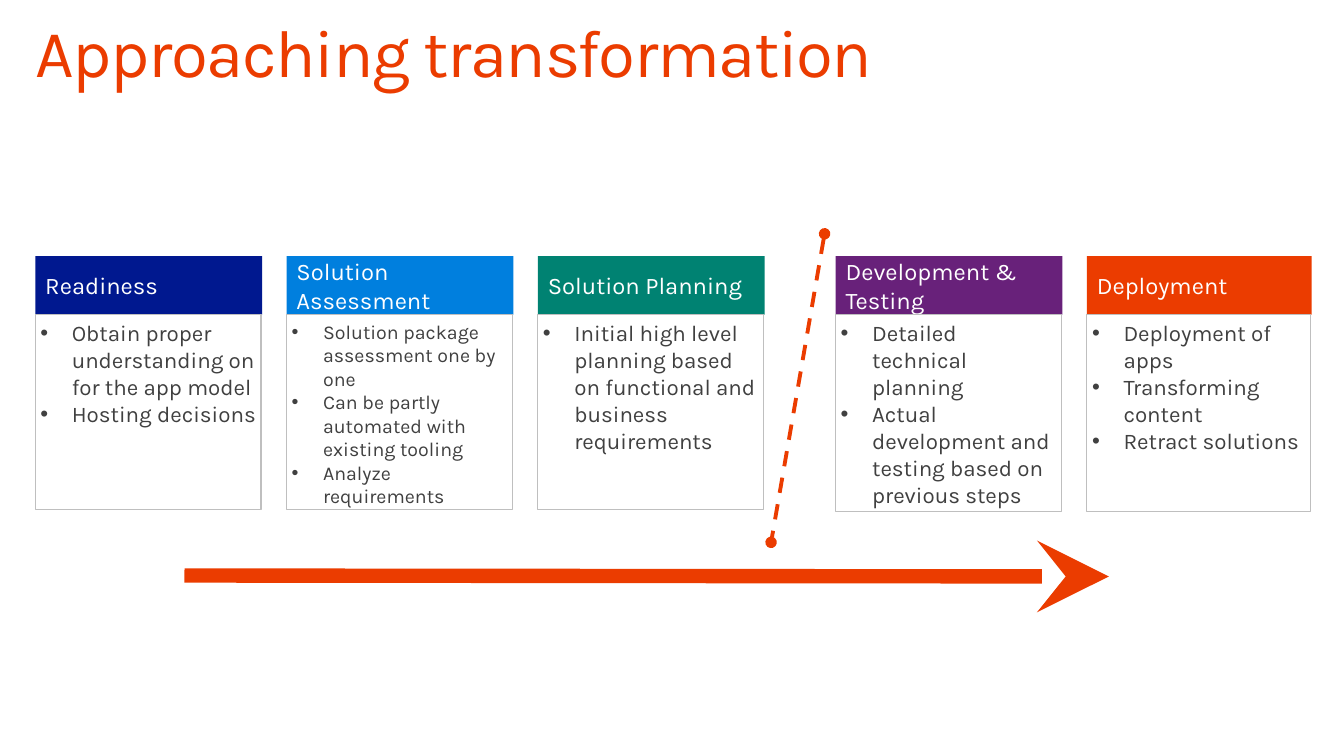
from dataclasses import dataclass

from lxml.etree import SubElement
from pptx import Presentation
from pptx.dml.color import RGBColor
from pptx.enum.dml import MSO_LINE_DASH_STYLE as Dash
from pptx.enum.shapes import MSO_CONNECTOR as Connector, MSO_SHAPE as Preset
from pptx.enum.text import MSO_ANCHOR as Anchor, MSO_AUTO_SIZE as AutoSize, PP_ALIGN as Align
from pptx.oxml.ns import qn
from pptx.shapes.autoshape import Shape
from pptx.slide import Slide
from pptx.text.text import TextFrame, _Paragraph as Paragraph
from pptx.util import Pt

FONT = "Karla"
COLORS = {
    "navy": "00188F",
    "blue": "007FDE",
    "teal": "008272",
    "purple": "68217A",
    "orange": "EB3C00",
    "border": "BFBFBF",
    "text": "404040",
    "white": "FFFFFF",
}
LEFT_MARGIN = 25.2
COLUMN_STEP = 179.5
HANDOFF_GAP = 33.2
HEADER_TOP = 182.9
HEADER_HEIGHT = 41.8
BULLET_INDENT = 22.5


@dataclass(frozen=True)
class Stage:
    name: str
    color: str
    activities: tuple[str, ...]
    text_size: float = 16
    width: float = 162
    body_height: float = 139
    after_handoff: bool = False


@dataclass(frozen=True)
class Line:
    start: tuple[float, float]
    end: tuple[float, float]
    width: float
    ends: dict[str, dict[str, str]]
    dash: Dash | None = None


STAGES = (
    Stage("Readiness", "navy",
          ("Obtain proper understanding on for the app model", "Hosting decisions")),
    Stage("Solution Assessment", "blue",
          ("Solution package assessment one by one",
           "Can be partly automated with existing tooling",
           "Analyze requirements"), text_size=14),
    Stage("Solution Planning", "teal",
          ("Initial high level planning based on functional and business requirements",)),
    Stage("Development & Testing", "purple",
          ("Detailed technical planning",
           "Actual development and testing based on previous steps"),
          body_height=141, after_handoff=True),
    Stage("Deployment", "orange",
          ("Deployment of apps", "Transforming content", "Retract solutions"),
          width=160.6, body_height=141, after_handoff=True),
)
LINES = (
    Line((131.8, 411.1), (792, 411.8), 10.25,
         {"a:tailEnd": {"type": "stealth", "w": "lg", "len": "lg"}}),
    Line((589, 167), (550.8, 387.4), 2.75,
         {"a:headEnd": {"type": "oval"}, "a:tailEnd": {"type": "oval"}}, Dash.DASH),
)


def color(name: str) -> RGBColor:
    return RGBColor.from_string(COLORS[name])


def set_margins(frame: TextFrame, horizontal: float, vertical: float) -> None:
    frame.margin_left = frame.margin_right = Pt(horizontal)
    frame.margin_top = frame.margin_bottom = Pt(vertical)


def add_text(paragraph: Paragraph, text: str, size: float, color_name: str) -> None:
    paragraph.alignment = Align.LEFT
    run = paragraph.add_run()
    run.text = text
    run.font.name = FONT
    run.font.size = Pt(size)
    run.font.color.rgb = color(color_name)


def add_bullet(paragraph: Paragraph) -> None:
    properties = paragraph._p.get_or_add_pPr()
    properties.set("marL", str(Pt(BULLET_INDENT)))
    properties.set("indent", str(-Pt(BULLET_INDENT)))
    SubElement(properties, qn("a:buFont"), typeface="Arial")
    SubElement(properties, qn("a:buChar"), char="•")


def add_box(slide: Slide, left: float, top: float, width: float, height: float) -> Shape:
    shape = slide.shapes.add_shape(
        Preset.RECTANGLE, Pt(left), Pt(top), Pt(width), Pt(height))
    shape.shadow.inherit = False
    shape.text_frame.word_wrap = True
    return shape


def add_title(slide: Slide, text: str) -> None:
    title = slide.shapes.title
    title.left, title.top, title.width, title.height = Pt(25.2), Pt(13.7), Pt(877.7), Pt(59)
    frame = title.text_frame
    frame.word_wrap = True
    frame.auto_size = AutoSize.NONE
    frame.vertical_anchor = Anchor.TOP
    set_margins(frame, 0, 0)
    paragraph = frame.paragraphs[0]
    paragraph.line_spacing = 0.9
    add_text(paragraph, text, 48, "orange")
    paragraph.runs[0].font._element.set("spc", "-100")


def add_stage(slide: Slide, stage: Stage, column: int) -> None:
    left = LEFT_MARGIN + column * COLUMN_STEP + HANDOFF_GAP * stage.after_handoff

    header = add_box(slide, left, HEADER_TOP, stage.width, HEADER_HEIGHT)
    header.fill.solid()
    header.fill.fore_color.rgb = color(stage.color)
    header.line.fill.background()
    header.text_frame.vertical_anchor = Anchor.MIDDLE
    set_margins(header.text_frame, 7.2, 3.6)
    add_text(header.text_frame.paragraphs[0], stage.name, 17, "white")

    body = add_box(slide, left, HEADER_TOP + HEADER_HEIGHT, stage.width - 0.7, stage.body_height)
    body.fill.background()
    body.line.color.rgb = color("border")
    body.line.width = Pt(0.75)
    frame = body.text_frame
    frame.vertical_anchor = Anchor.TOP
    set_margins(frame, 3.6, 3.6)
    for index, activity in enumerate(stage.activities):
        paragraph = frame.add_paragraph() if index else frame.paragraphs[0]
        add_bullet(paragraph)
        add_text(paragraph, activity, stage.text_size, "text")


def add_line(slide: Slide, line: Line) -> None:
    connector = slide.shapes.add_connector(
        Connector.STRAIGHT, *(Pt(value) for value in line.start + line.end))
    connector.line.color.rgb = color("orange")
    connector.line.width = Pt(line.width)
    if line.dash is not None:
        connector.line.dash_style = line.dash
    properties = connector._element.spPr
    outline = properties.find(qn("a:ln"))
    for tag, attributes in line.ends.items():
        SubElement(outline, qn(tag), attributes)
    SubElement(properties, qn("a:effectLst"))


def main() -> None:
    presentation = Presentation()
    presentation.slide_width, presentation.slide_height = Pt(960), Pt(540)
    slide = presentation.slides.add_slide(presentation.slide_layouts.get_by_name("Title Only"))
    add_title(slide, "Approaching transformation")
    for column, stage in enumerate(STAGES):
        add_stage(slide, stage, column)
    for line in LINES:
        add_line(slide, line)
    presentation.save("out.pptx")


if __name__ == "__main__":
    main()
